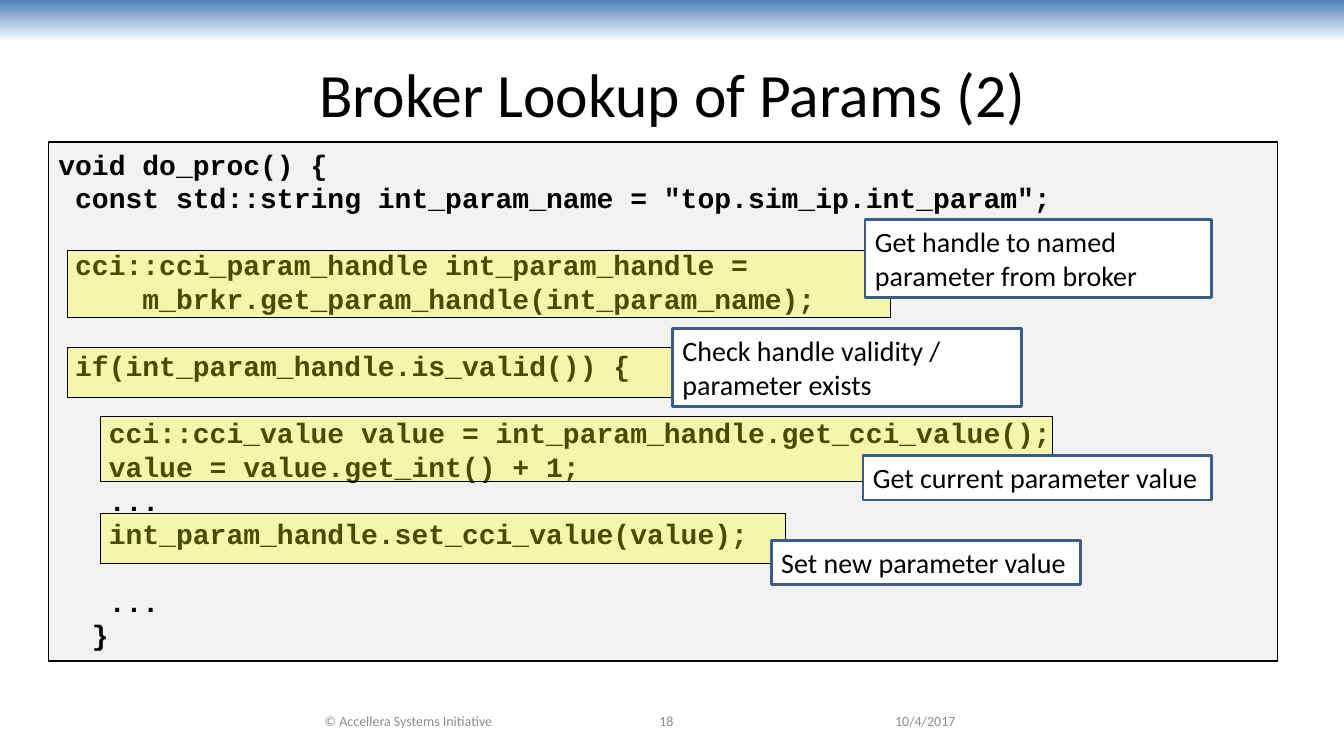
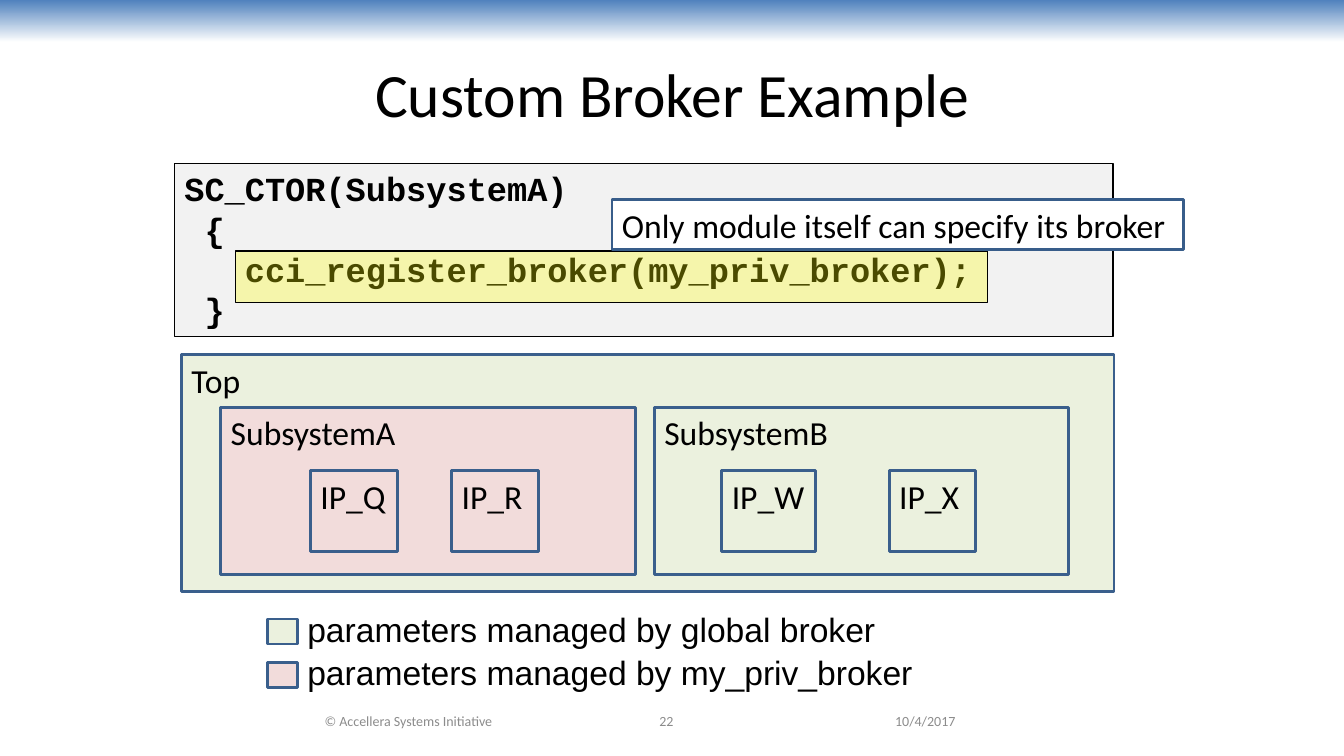
from dataclasses import dataclass

from lxml.etree import SubElement
from pptx import Presentation
from pptx.dml.color import RGBColor
from pptx.enum.shapes import MSO_SHAPE
from pptx.enum.text import MSO_ANCHOR, PP_ALIGN
from pptx.oxml.ns import qn
from pptx.util import Inches, Pt


@dataclass(frozen=True)
class Theme:
    band: str = "4F81BD"
    white: str = "FFFFFF"
    ink: str = "000000"
    footer: str = "8C8C8C"
    code_fill: str = "F2F2F2"
    highlight: str = "FFFF00"
    highlight_alpha: int = 29
    callout_line: str = "385D8A"
    module_line: str = "3A5F8C"
    global_fill: str = "EBF1DE"
    private_fill: str = "F2DCDB"
    body_font: str = "Calibri"
    code_font: str = "Courier New"
    legend_font: str = "Arial"
    title_size: int = 44
    large_size: int = 24
    small_size: int = 20
    footer_size: int = 10
    code_gap: float = 1.2


T = Theme()

DO_PROC = """void do_proc() {
 const std::string int_param_name = "top.sim_ip.int_param";

 cci::cci_param_handle int_param_handle =
     m_brkr.get_param_handle(int_param_name);

 if(int_param_handle.is_valid()) {

   cci::cci_value value = int_param_handle.get_cci_value();
   value = value.get_int() + 1;
   ...
   int_param_handle.set_cci_value(value);

   ...
  }"""

CONSTRUCTOR = """SC_CTOR(SubsystemA)
 {
   cci_register_broker(my_priv_broker);
 }"""


def rgb(color):
    return RGBColor.from_string(color)


def style(p, size, font=T.body_font, color=T.ink, bold=False, align=PP_ALIGN.LEFT):
    p.alignment = align
    for r in p.runs:
        r.font.size = Pt(size)
        r.font.name = font
        r.font.bold = bold
        r.font.color.rgb = rgb(color)


def add_box(slide, at, fill, line=None, width=2):
    sp = slide.shapes.add_shape(MSO_SHAPE.RECTANGLE, *map(Inches, at))
    sp.shadow.inherit = False
    sp.fill.solid()
    sp.fill.fore_color.rgb = rgb(fill)
    if line:
        sp.line.color.rgb = rgb(line)
        sp.line.width = Pt(width)
    else:
        sp.line.fill.background()
    tf = sp.text_frame
    tf.word_wrap = True
    tf.vertical_anchor = MSO_ANCHOR.TOP
    return sp


def add_label_box(slide, at, text, size, fill, line):
    p = add_box(slide, at, fill, line).text_frame.paragraphs[0]
    p.text = text
    style(p, size)


def add_callout(slide, at, text, size):
    add_label_box(slide, at, text, size, T.white, T.callout_line)


def add_module(slide, at, text, fill):
    add_label_box(slide, at, text, T.large_size, fill, T.module_line)


def add_highlight(slide, at):
    sp = add_box(slide, at, T.highlight, T.ink, 0.75)
    color = sp.fill._xPr.find(qn("a:solidFill"))[0]
    SubElement(color, qn("a:alpha"), val=str(T.highlight_alpha * 1000))


def add_code(slide, at, code, size):
    tf = add_box(slide, at, T.code_fill, T.ink, 1).text_frame
    p, gap = tf.paragraphs[0], 0
    for i, line in enumerate(code.split("\n")):
        if not line:
            gap += 1
            continue
        if i:
            p = tf.add_paragraph()
        p.text = line
        if gap:
            p.space_before = Pt(gap * size * T.code_gap)
            gap = 0
        style(p, size, T.code_font, bold=True)


def add_text(slide, at, text, size, font=T.body_font, color=T.ink,
             align=PP_ALIGN.LEFT, anchor=MSO_ANCHOR.TOP):
    tf = slide.shapes.add_textbox(*map(Inches, at)).text_frame
    tf.word_wrap = True
    tf.vertical_anchor = anchor
    tf.text = text
    style(tf.paragraphs[0], size, font, color, align=align)


def add_slide(prs, title, number):
    slide = prs.slides.add_slide(prs.slide_layouts[5])
    band = add_box(slide, (0, 0, 13.33, 0.42), T.band)
    band.fill.gradient()
    band.fill.gradient_angle = 270
    for stop, color, position in zip(band.fill.gradient_stops, (T.band, T.white), (0, 1)):
        stop.color.rgb = rgb(color)
        stop.position = position

    sp = slide.shapes.title
    sp.left, sp.top, sp.width, sp.height = map(Inches, (0.67, 0.3, 12, 1.25))
    tf = sp.text_frame
    tf.text = title
    tf.vertical_anchor = MSO_ANCHOR.MIDDLE
    style(tf.paragraphs[0], T.title_size, align=PP_ALIGN.CENTER)

    for left, width, text, align in (
        (2.44, 3.22, "© Accellera Systems Initiative", PP_ALIGN.CENTER),
        (5.33, 2.56, str(number), PP_ALIGN.CENTER),
        (8.78, 1.56, "10/4/2017", PP_ALIGN.LEFT),
    ):
        add_text(slide, (left, 6.95, width, 0.4), text, T.footer_size,
                 color=T.footer, align=align, anchor=MSO_ANCHOR.MIDDLE)
    return slide


def build_lookup(prs):
    slide = add_slide(prs, "Broker Lookup of Params (2)", 18)
    add_code(slide, (0.48, 1.41, 12.19, 5.15), DO_PROC, T.small_size)
    for highlight, callout, text in (
        ((0.67, 2.49, 8.16, 0.66), (8.58, 2.18, 3.44, 0.77),
         "Get handle to named parameter from broker"),
        ((0.67, 3.45, 6.12, 0.49), (6.67, 3.26, 3.46, 0.77),
         "Check handle validity / parameter exists"),
        ((1, 4.13, 9.44, 0.65), (8.56, 4.52, 3.46, 0.44),
         "Get current parameter value"),
        ((1, 5.09, 6.79, 0.5), (7.65, 5.36, 3.07, 0.44),
         "Set new parameter value"),
    ):
        add_highlight(slide, highlight)
        add_callout(slide, callout, text, T.small_size)


def build_custom_broker(prs):
    slide = add_slide(prs, "Custom Broker Example", 22)
    add_code(slide, (1.73, 1.62, 9.31, 1.72), CONSTRUCTOR, T.large_size)
    add_highlight(slide, (2.34, 2.49, 7.45, 0.51))
    add_callout(slide, (6.07, 1.98, 5.67, 0.5),
                "Only module itself can specify its broker", T.large_size)

    add_module(slide, (1.8, 3.52, 9.25, 2.35), "Top", T.global_fill)
    for left, name, fill, blocks in (
        (2.19, "SubsystemA", T.private_fill, ((3.08, 0.86, "IP_Q"), (4.48, 0.86, "IP_R"))),
        (6.49, "SubsystemB", T.global_fill, ((7.16, 0.93, "IP_W"), (8.82, 0.86, "IP_X"))),
    ):
        add_module(slide, (left, 4.04, 4.11, 1.66), name, fill)
        for block_left, width, block in blocks:
            add_module(slide, (block_left, 4.67, width, 0.8), block, fill)

    for top, fill, text in (
        (6.14, T.global_fill, "parameters managed by global broker"),
        (6.57, T.private_fill, "parameters managed by my_priv_broker"),
    ):
        add_box(slide, (2.65, top, 0.3, 0.25), fill, T.module_line)
        add_text(slide, (2.95, top - 0.15, 6.27, 0.5), text, T.large_size, T.legend_font)


def main():
    prs = Presentation()
    prs.slide_width, prs.slide_height = Inches(13.33), Inches(7.5)
    build_lookup(prs)
    build_custom_broker(prs)
    prs.save("out.pptx")


if __name__ == "__main__":
    main()
